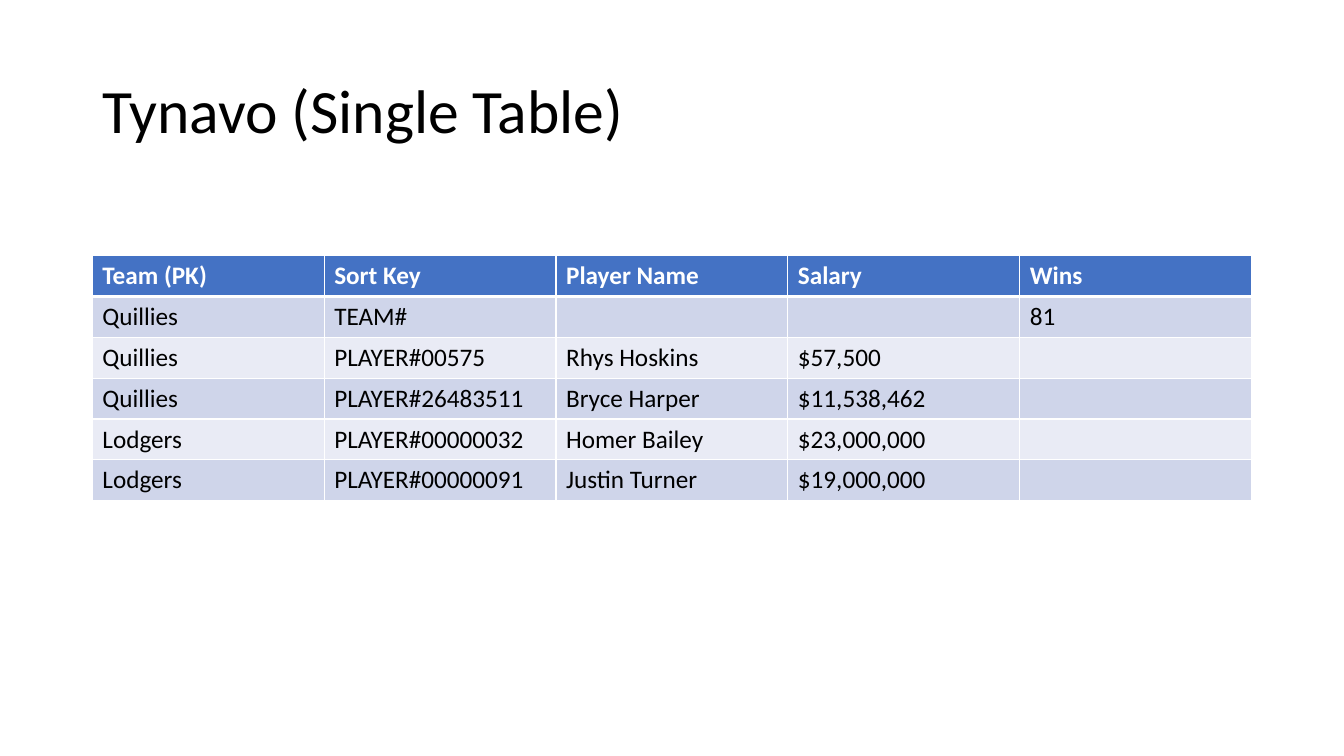
import pptx
import pptx.util
import pptx.dml.color
import pptx.enum.text
import pptx.oxml
import pptx.oxml.ns

Pt = pptx.util.Pt
RGB = pptx.dml.color.RGBColor
WHITE = RGB(0xFF, 0xFF, 0xFF)
BLACK = RGB(0x00, 0x00, 0x00)
HEADER_BLUE = RGB(0x44, 0x72, 0xC4)
BANDS = [RGB(0xE9, 0xEB, 0xF5), RGB(0xCF, 0xD5, 0xEA)]

LEFT, WIDTH = 66, 828
ROW_HEIGHT = 29.2
ROWS = [
    ["Team (PK)", "Sort Key", "Player Name", "Salary", "Wins"],
    ["Quillies", "TEAM#", "", "", "81"],
    ["Quillies", "PLAYER#00575", "Rhys Hoskins", "$57,500", ""],
    ["Quillies", "PLAYER#26483511", "Bryce Harper", "$11,538,462", ""],
    ["Lodgers", "PLAYER#00000032", "Homer Bailey", "$23,000,000", ""],
    ["Lodgers", "PLAYER#00000091", "Justin Turner", "$19,000,000", ""],
]


def write(p, text, color, **formats):
    """Add a Calibri run to a paragraph with the given font formats."""
    r = p.add_run()
    r.text = text
    r.font.color.rgb = color
    for name, value in {"name": "Calibri", **formats}.items():
        setattr(r.font, name, value)


def set_border(cell, side, weight):
    """Draw a solid white border on one side of a cell."""
    tag = "a:ln" + side
    ln = pptx.oxml.parse_xml(
        f'<{tag} {pptx.oxml.ns.nsdecls("a")} w="{Pt(weight)}"><a:solidFill>'
        f'<a:srgbClr val="{WHITE}"/></a:solidFill></{tag}>')
    cell._tc.get_or_add_tcPr().append(ln)


prs = pptx.Presentation()
prs.slide_width, prs.slide_height = Pt(960), Pt(540)
s = prs.slides.add_slide(prs.slide_layouts[6])

# Title
tf = s.shapes.add_textbox(Pt(LEFT), Pt(28.8), Pt(WIDTH), Pt(104.4)).text_frame
tf.word_wrap = True
tf.vertical_anchor = pptx.enum.text.MSO_ANCHOR.MIDDLE
p = tf.paragraphs[0]
p.line_spacing = 0.9
write(p, "Tynavo (Single Table)", BLACK, size=Pt(44))

# Table of teams and players
table = s.shapes.add_table(len(ROWS), len(ROWS[0]), Pt(LEFT), Pt(182.5),
                           Pt(WIDTH), Pt(ROW_HEIGHT * len(ROWS))).table
for i, values in enumerate(ROWS):
    header = i == 0
    for j, value in enumerate(values):
        cell = table.cell(i, j)
        for side in "LRTB":
            thick = (header and side == "B") or (i == 1 and side == "T")
            set_border(cell, side, 3 if thick else 1)
        cell.fill.solid()
        cell.fill.fore_color.rgb = HEADER_BLUE if header else BANDS[i % 2]
        if value:
            write(cell.text_frame.paragraphs[0], value,
                  WHITE if header else BLACK, size=Pt(18), bold=header)

prs.save("out.pptx")
